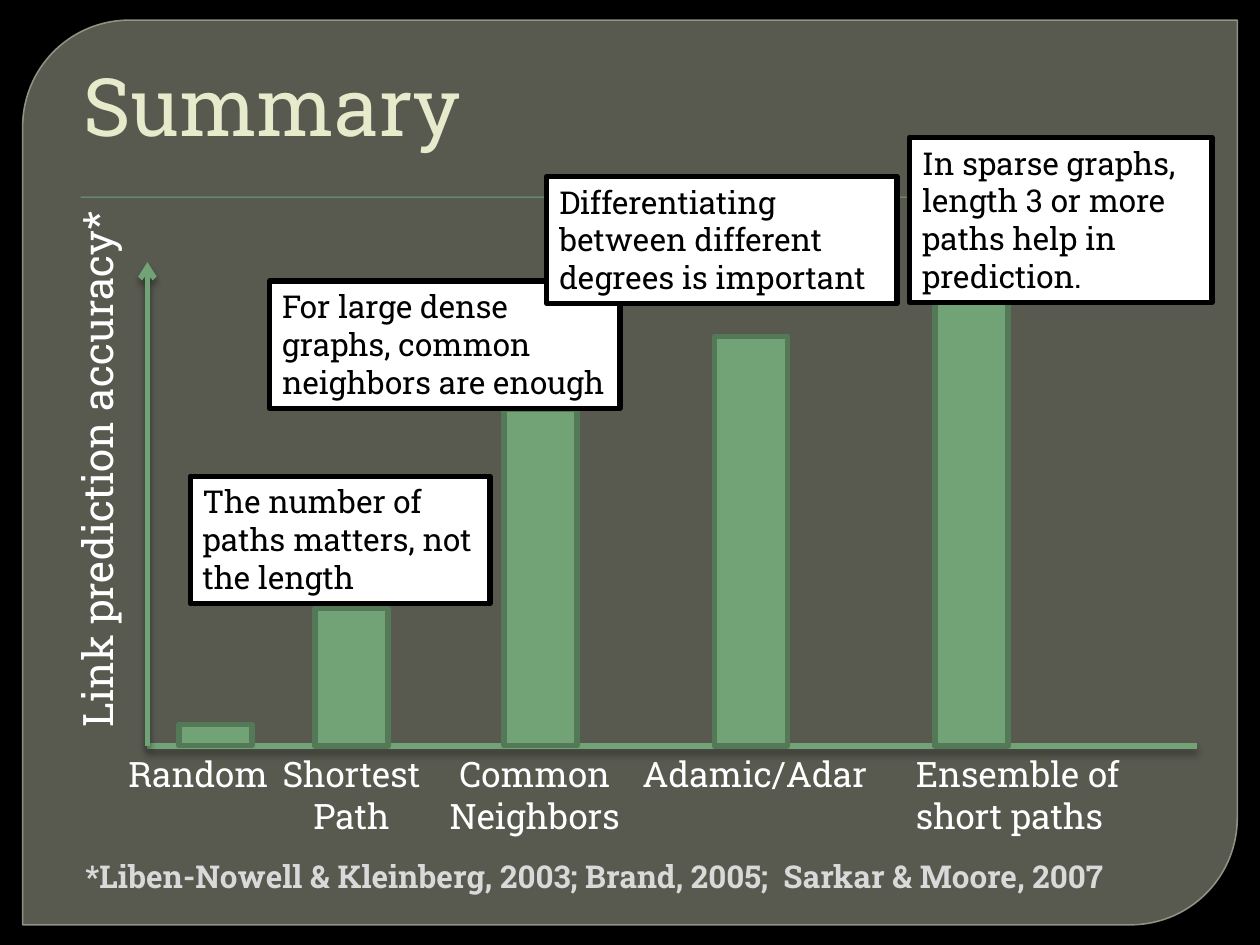
from pptx import Presentation
from pptx.dml.color import RGBColor
from pptx.enum.shapes import MSO_CONNECTOR, MSO_SHAPE
from pptx.enum.text import MSO_ANCHOR, MSO_AUTO_SIZE, PP_ALIGN
from pptx.oxml import parse_xml
from pptx.oxml.ns import nsdecls, qn
from pptx.util import Inches, Pt

FONT = "Roboto Slab"
BLACK = RGBColor(0x00, 0x00, 0x00)
WHITE = RGBColor(0xFF, 0xFF, 0xFF)
PANEL = RGBColor(0x88, 0x8B, 0x7B)
PANEL_EDGE = RGBColor(0x9D, 0xA0, 0x90)
GREEN = RGBColor(0x72, 0xA3, 0x76)
DARK_GREEN = RGBColor(0x54, 0x79, 0x57)
CREAM = RGBColor(0xE7, 0xEA, 0xCB)
LIGHT_GRAY = RGBColor(0xD9, 0xD9, 0xD9)

AXIS_LEFT, AXIS_RIGHT, AXIS_TOP, BASELINE = 1.17, 9.5, 2.08, 5.92
BAR_WIDTH = 0.58

# Bar left, bar top
BARS = [(2.5, 4.83), (4, 3.25), (1.42, 5.75), (5.67, 2.67), (7.42, 2.17)]
# Text, left, width, height, alignment
LABELS = [
    ("Random", 0.92, 1.42, 0.44, PP_ALIGN.LEFT),
    ("Shortest Path", 2.08, 1.42, 0.77, PP_ALIGN.CENTER),
    ("Common Neighbors", 3.33, 1.83, 0.77, PP_ALIGN.CENTER),
    ("Adamic/Adar", 5, 2, 0.44, PP_ALIGN.LEFT),
    ("Ensemble of short paths", 7.17, 2, 0.77, PP_ALIGN.LEFT),
]
# Text, box
CALLOUTS = [
    ("The number of paths matters, not the length", (1.51, 3.78, 2.38, 1.01)),
    ("For large dense graphs, common neighbors are enough",
     (2.14, 2.23, 2.78, 1.01)),
    ("Differentiating between different degrees is important",
     (4.34, 1.4, 2.78, 1.01)),
    ("In sparse graphs, length 3 or more paths help in prediction.",
     (7.22, 1.09, 2.4, 1.31)),
]


def inches(values):
    """Turn a sequence of numbers into lengths."""
    return [Inches(value) for value in values]


def set_text(shape, text, size=18, color=WHITE, bold=False,
             align=PP_ALIGN.LEFT, anchor=MSO_ANCHOR.TOP):
    """Write one formatted paragraph into a shape."""
    frame = shape.text_frame
    frame.word_wrap = True
    frame.auto_size = MSO_AUTO_SIZE.NONE
    frame.vertical_anchor = anchor
    paragraph = frame.paragraphs[0]
    paragraph.alignment = align
    run = paragraph.add_run()
    run.text = text
    run.font.name = FONT
    run.font.size = Pt(size)
    run.font.bold = bold
    run.font.color.rgb = color
    return paragraph


def add_label(slide, text, box, **text_format):
    """Add a text box."""
    shape = slide.shapes.add_textbox(*inches(box))
    set_text(shape, text, **text_format)
    return shape


def add_box(slide, box, fill, line=None, width=3, kind=MSO_SHAPE.RECTANGLE):
    """Add a flat filled shape with an optional outline."""
    shape = slide.shapes.add_shape(kind, *inches(box))
    shape.shadow.inherit = False
    shape.fill.solid()
    shape.fill.fore_color.rgb = fill
    if line is None:
        shape.line.fill.background()
    else:
        shape.line.color.rgb = line
        shape.line.width = Pt(width)
    return shape


def set_alpha(parent, percent):
    """Set the opacity of the solid fill directly inside an element."""
    color = parent.find(qn("a:solidFill")).find(qn("a:srgbClr"))
    color.append(parse_xml(
        f'<a:alpha {nsdecls("a")} val="{percent * 1000}"/>'))


def set_shadow(shape, alpha, blur, distance):
    """Give a shape a black shadow that falls straight down."""
    properties = shape.element.spPr
    effects = properties.find(qn("a:effectLst"))
    if effects is None:
        effects = parse_xml(f'<a:effectLst {nsdecls("a")}/>')
        properties.append(effects)
    effects.append(parse_xml(
        f'<a:outerShdw {nsdecls("a")} blurRad="{Pt(blur)}" '
        f'dist="{Pt(distance)}" dir="5400000" rotWithShape="0">'
        f'<a:srgbClr val="000000"><a:alpha val="{alpha * 1000}"/>'
        '</a:srgbClr></a:outerShdw>'))


def add_axis(slide, end_x, end_y, arrow=False):
    """Draw an axis from the chart origin."""
    axis = slide.shapes.add_connector(
        MSO_CONNECTOR.STRAIGHT,
        *inches((AXIS_LEFT, BASELINE, end_x, end_y)))
    axis.line.color.rgb = GREEN
    axis.line.width = Pt(3)
    if arrow:
        axis.element.spPr.find(qn("a:ln")).append(
            parse_xml(f'<a:tailEnd {nsdecls("a")} type="arrow"/>'))
    set_shadow(axis, 43, 4, 3)


def add_backdrop(slide):
    """Paint the background, the rounded panel and the title rule."""
    slide.background.fill.solid()
    slide.background.fill.fore_color.rgb = BLACK
    panel = add_box(slide, (0.18, 0.16, 9.64, 7.18), PANEL, PANEL_EDGE, 0.87,
                    MSO_SHAPE.ROUND_2_DIAG_RECTANGLE)
    panel.adjustments[0] = 0.118
    panel.adjustments[1] = 0
    set_alpha(panel.element.spPr, 65)
    set_alpha(panel.element.spPr.find(qn("a:ln")), 88)
    rule = add_box(slide, (0.64, 1.56, 8.75, 0.01), GREEN)
    set_shadow(rule, 75, 1, 1)


def add_title(slide, text):
    """Fill the title placeholder and lift it above the panel."""
    title = slide.shapes.title
    title.left, title.top, title.width, title.height = inches(
        (0.5, 0.25, 9.17, 1.01))
    paragraph = set_text(title, text, size=46, color=CREAM,
                         anchor=MSO_ANCHOR.BOTTOM)
    paragraph._p.get_or_add_pPr().set("marL", str(Inches(0.06)))
    title.element.getparent().append(title.element)


def main():
    """Build the slide and save it."""
    presentation = Presentation()
    presentation.slide_width = Inches(10)
    presentation.slide_height = Inches(7.5)
    slide = presentation.slides.add_slide(presentation.slide_layouts[5])

    add_backdrop(slide)
    add_title(slide, "Summary")
    add_axis(slide, AXIS_RIGHT, BASELINE)
    for left, top in BARS:
        add_box(slide, (left, top, BAR_WIDTH, BASELINE - top),
                GREEN, DARK_GREEN)
    for text, left, width, height, align in LABELS:
        add_label(slide, text, (left, BASELINE, width, height),
                  size=20, align=align)
    add_axis(slide, AXIS_LEFT, AXIS_TOP, arrow=True)
    axis_title = add_label(slide, "Link prediction accuracy*",
                           (-1.46, 3.39, 4.46, 0.5), size=24)
    axis_title.rotation = 270
    add_label(slide, "*Liben-Nowell & Kleinberg, 2003; Brand, 2005;  "
              "Sarkar & Moore, 2007", (0.58, 6.75, 8.67, 0.4),
              color=LIGHT_GRAY, bold=True)
    for text, box in CALLOUTS:
        set_text(add_box(slide, box, WHITE, BLACK), text, color=BLACK)

    presentation.save("out.pptx")


main()
